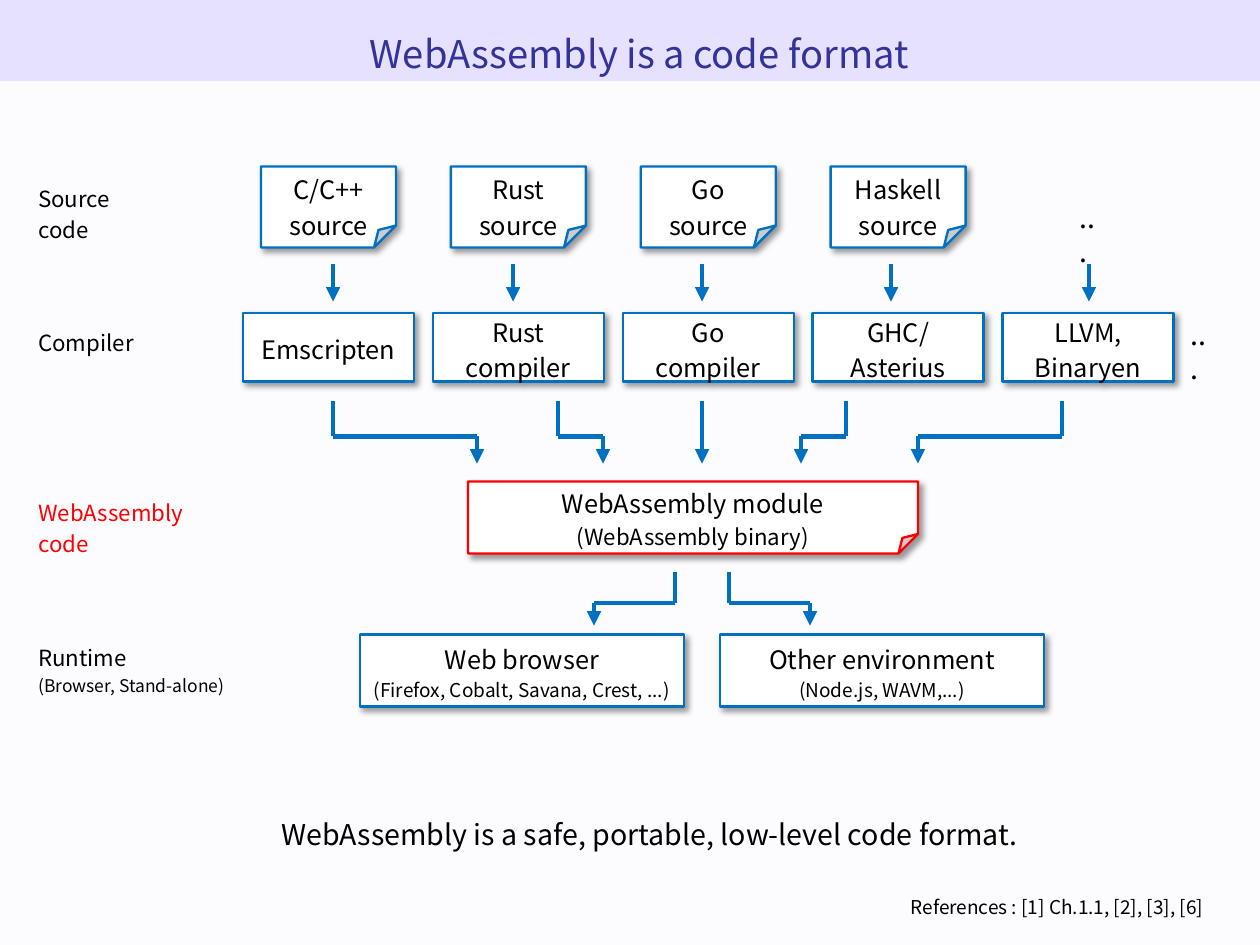
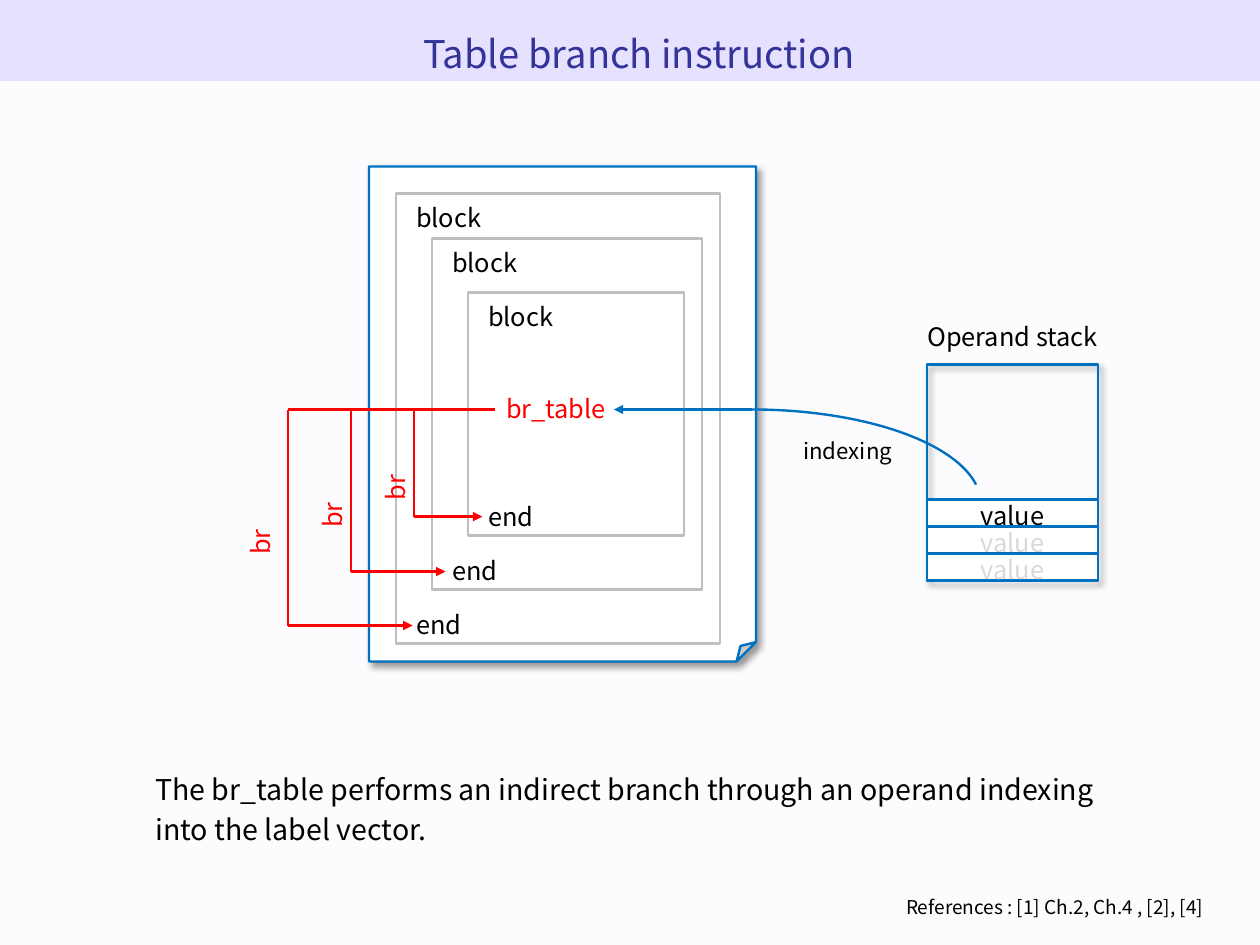
from itertools import pairwise

from lxml.etree import SubElement
from pptx import Presentation
from pptx.dml.color import RGBColor
from pptx.enum.shapes import MSO_CONNECTOR, MSO_SHAPE
from pptx.enum.text import MSO_ANCHOR, MSO_AUTO_SIZE, PP_ALIGN
from pptx.oxml.ns import qn
from pptx.util import Cm, Pt

FONT = "Noto Sans CJK SC"
COLORS = {
    "page": "FCFCFF", "band": "E6E1FF", "title": "333399", "text": "000000",
    "box": "FFFFFF", "blue": "0070C0", "red": "FF0000",
    "frame": "BFBFBF", "faded": "D9D9D9",
}
SLIDE_W, SLIDE_H = 28, 21

# Content of the code format slide; lengths are centimetres
FORMAT = {
    "title": "WebAssembly is a code format",
    "summary": "WebAssembly is a safe, portable, low-level code format.",
    "references": "References : [1] Ch.1.1, [2], [3], [6]",
}
STAGES = [  # top, lines, sizes, colour
    (3.9, ["Source", "code"], [14, 14], "text"),
    (7.1, ["Compiler"], [14], "text"),
    (10.87, ["WebAssembly", "code"], [14, 14], "red"),
    (14.1, ["Runtime", "(Browser, Stand-alone)"], [14, 11], "text"),
]
LANGUAGES = ["C/C++", "Rust", "Go", "Haskell"]
COMPILERS = [["Emscripten"], ["Rust", "compiler"], ["Go", "compiler"],
             ["GHC/", "Asterius"], ["LLVM,", "Binaryen"]]
MODULE = ["WebAssembly module", "(WebAssembly binary)"]
RUNTIMES = [
    ["Web browser", "(Firefox, Cobalt, Savana, Crest, ...)"],
    ["Other environment", "(Node.js, WAVM,...)"],
]
MORE = [(23.75, 4.32), (26.21, 6.91)]
COMPILE_X = [7.4, 11.4, 15.6, 19.8, 24.2]
MODULE_FLOWS = [(7.4, 10.6), (12.4, 13.4), (15.6, 15.6), (18.8, 17.8), (23.6, 20.4)]
RUNTIME_FLOWS = [(15.0, 13.2), (16.2, 18.0)]

# Content of the branch slide
BRANCH = {
    "title": "Table branch instruction",
    "summary": "The br_table performs an indirect branch through an operand "
               "indexing into the label vector.",
    "references": "References : [1] Ch.2, Ch.4 , [2], [4]",
}
BLOCKS = [(8.8, 4.3, 7.2, 10), (9.6, 5.3, 6, 7.8), (10.4, 6.5, 4.8, 5.4)]
BRANCHES = [  # line x, target x, target y, centre x of the label
    (9.2, 10.72, 11.48, 8.72),
    (7.8, 9.9, 12.7, 7.33),
    (6.4, 9.17, 13.9, 5.73),
]
BRANCH_START = (11, 9.1)
STACK = [("value", "text"), ("value", "faded"), ("value", "faded")]


def rgb(name):
    return RGBColor.from_string(COLORS[name])


def write(shape, lines, sizes, color="text", align=PP_ALIGN.LEFT,
          anchor=MSO_ANCHOR.TOP, wrap=True, spacing=1.17):
    frame = shape.text_frame
    frame.text = "\n".join(lines)
    frame.word_wrap = wrap
    frame.auto_size = MSO_AUTO_SIZE.NONE
    frame.vertical_anchor = anchor
    for paragraph, size in zip(frame.paragraphs, sizes):
        paragraph.alignment = align
        paragraph.line_spacing = spacing
        for run in paragraph.runs:
            run.font.name = FONT
            run.font.size = Pt(size)
            run.font.color.rgb = rgb(color)


def add_label(slide, area, lines, sizes, **style):
    label = slide.shapes.add_textbox(*map(Cm, area))
    write(label, lines, sizes, **style)
    return label


def add_shadow(shape):
    effects = shape._element.spPr.find(qn("a:effectLst"))
    shadow = SubElement(effects, qn("a:outerShdw"), blurRad=str(Pt(4)),
                        dist=str(Pt(3)), dir=str(45 * 60000),
                        algn="tl", rotWithShape="0")
    tint = SubElement(shadow, qn("a:srgbClr"), val=COLORS["text"])
    SubElement(tint, qn("a:alpha"), val="40000")


def set_guides(shape, **guides):
    """Set the adjustment values of a preset shape by name."""
    geometry = shape._element.spPr.find(qn("a:prstGeom"))
    values = geometry.find(qn("a:avLst"))
    if values is None:
        values = SubElement(geometry, qn("a:avLst"))
    for guide in list(values):
        values.remove(guide)
    for name, value in guides.items():
        SubElement(values, qn("a:gd"), name=name, fmla=f"val {round(value)}")


def add_box(slide, area, kind=MSO_SHAPE.RECTANGLE, fill="box", line="blue",
            shadow=False):
    box = slide.shapes.add_shape(kind, *map(Cm, area))
    box.shadow.inherit = False
    if fill:
        box.fill.solid()
        box.fill.fore_color.rgb = rgb(fill)
    else:
        box.fill.background()
    if line:
        box.line.color.rgb = rgb(line)
        box.line.width = Pt(1.5)
    else:
        box.line.fill.background()
    if shadow:
        add_shadow(box)
    return box


def add_node(slide, area, lines, sizes, color="text", **style):
    node = add_box(slide, area, **style)
    write(node, lines, sizes, color, PP_ALIGN.CENTER, MSO_ANCHOR.MIDDLE, wrap=False)
    return node


def add_document(slide, area, lines, sizes, fold=0.27, line="blue"):
    document = add_node(slide, area, lines, sizes, kind=MSO_SHAPE.FOLDED_CORNER,
                        line=line, shadow=True)
    set_guides(document, adj=fold * 100000)
    document.text_frame.margin_top = Cm(0.5)


def add_route(slide, points, color="blue", width=3):
    """Straight pieces through the points, with an arrowhead at the last."""
    for start, end in pairwise(points):
        piece = slide.shapes.add_connector(MSO_CONNECTOR.STRAIGHT,
                                           *map(Cm, (*start, *end)))
        piece.line.color.rgb = rgb(color)
        piece.line.width = Pt(width)
        SubElement(piece._element.spPr, qn("a:effectLst"))
    SubElement(piece.line._get_or_add_ln(), qn("a:tailEnd"), type="triangle")


def add_flow(slide, start_x, end_x, top, turn, bottom):
    if start_x == end_x:
        points = [(start_x, top), (end_x, bottom)]
    else:
        points = [(start_x, top), (start_x, turn), (end_x, turn), (end_x, bottom)]
    add_route(slide, points)


def add_slide(deck, layout, content, summary_area):
    slide = deck.slides.add_slide(layout)
    title = slide.shapes.title
    title.left, title.top, title.width, title.height = map(Cm, (1, 0.38, 26.4, 1.9))
    write(title, [content["title"]], [24], "title", PP_ALIGN.CENTER)
    add_label(slide, summary_area, [content["summary"]], [18])
    add_label(slide, (1.2, 19.7, 25.8, 0.95), [content["references"]], [12],
              align=PP_ALIGN.RIGHT)
    return slide


def build_format(slide):
    # Names of the stages
    for top, lines, sizes, color in STAGES:
        add_label(slide, (0.6, top, 5.6, 1.42), lines, sizes, color=color)

    # Sources and compilers
    left, step = 5.4, 4.22
    for i, language in enumerate(LANGUAGES):
        add_document(slide, (left + 0.4 + i * step, 3.7, 3, 1.8),
                     [language, "source"], [16, 16])
    for i, compiler in enumerate(COMPILERS):
        add_node(slide, (left + i * step, 6.95, 3.8, 1.53), compiler, [16, 16],
                 shadow=True)
    for x, y in MORE:
        add_label(slide, (x, y, 1, 1.02), ["..."], [18], spacing=1)

    # Module and runtimes
    add_document(slide, (10.4, 10.7, 10, 1.6), MODULE, [16, 14], line="red")
    for i, runtime in enumerate(RUNTIMES):
        add_node(slide, (8 + i * 8, 14.1, 7.2, 1.6), runtime, [16, 12], shadow=True)

    # Arrows between the stages
    for x in COMPILE_X:
        add_route(slide, [(x, 5.87), (x, 6.7)])
    for start_x, end_x in MODULE_FLOWS:
        add_flow(slide, start_x, end_x, 8.9, 9.7, 10.3)
    for start_x, end_x in RUNTIME_FLOWS:
        add_flow(slide, start_x, end_x, 12.7, 13.4, 13.9)


def build_branch(slide):
    middle = MSO_ANCHOR.MIDDLE

    # Code page with nested blocks
    add_document(slide, (8.2, 3.7, 8.6, 11), [], [], fold=0.05)
    for x, y, w, h in BLOCKS:
        add_box(slide, (x, y, w, h), fill=None, line="frame")
        for word, top in (("block", y), ("end", y + h - 0.95)):
            add_label(slide, (x + 0.2, top, 3.6, 0.95), [word], [16], anchor=middle)
    add_label(slide, (11, 8.35, 3.6, 1.35), ["br_table"], [16], color="red",
              anchor=middle)

    # Branches to the block ends
    label_w, label_h = 2.46, 1.35
    start_y = BRANCH_START[1]
    for x, target_x, target_y, label_x in BRANCHES:
        add_route(slide, [BRANCH_START, (x, start_y), (x, target_y),
                          (target_x, target_y)], "red", 1.5)
        label_y = (start_y + target_y) / 2 - 0.15
        branch = add_label(slide, (label_x - label_w / 2, label_y - label_h / 2,
                                   label_w, label_h),
                           ["br"], [16], color="red", anchor=middle)
        branch.rotation = 270

    # Operand stack
    add_label(slide, (20, 6.9, 5, 1), ["Operand stack"], [16], align=PP_ALIGN.CENTER)
    add_box(slide, (20.6, 8.1, 3.8, 4.8), fill=None, shadow=True)
    for i, (value, color) in enumerate(STACK):
        add_node(slide, (20.6, 11.1 + i * 0.6, 3.8, 0.6), [value], [16], color)

    # Indexing arrow; angles are in 60000ths of a degree
    curve = add_box(slide, (11.6, 9.1, 10.2, 4.2), kind=MSO_SHAPE.ARC, fill=None)
    set_guides(curve, adj1=267.05 * 60000, adj2=355.1 * 60000)
    add_route(slide, [(16.7, 9.1), (13.64, 9.1)], "blue", 1.5)
    add_label(slide, (17.6, 9.3, 3.6, 1.35), ["indexing"], [14], anchor=middle)


def main():
    deck = Presentation()
    deck.slide_width, deck.slide_height = Cm(SLIDE_W), Cm(SLIDE_H)
    layout = deck.slide_layouts[5]
    layout.background.fill.solid()
    layout.background.fill.fore_color.rgb = rgb("page")

    code_format = add_slide(deck, layout, FORMAT, (6, 17.9, 19, 1.2))
    branch = add_slide(deck, layout, BRANCH, (3.2, 16.9, 22.6, 1.2))

    # The title band belongs to the shared layout
    band = add_box(code_format, (0, 0, SLIDE_W, 1.8), fill="band", line=None)
    layout.shapes._spTree.insert(2, band._element)

    build_format(code_format)
    build_branch(branch)
    deck.save("out.pptx")


if __name__ == "__main__":
    main()
